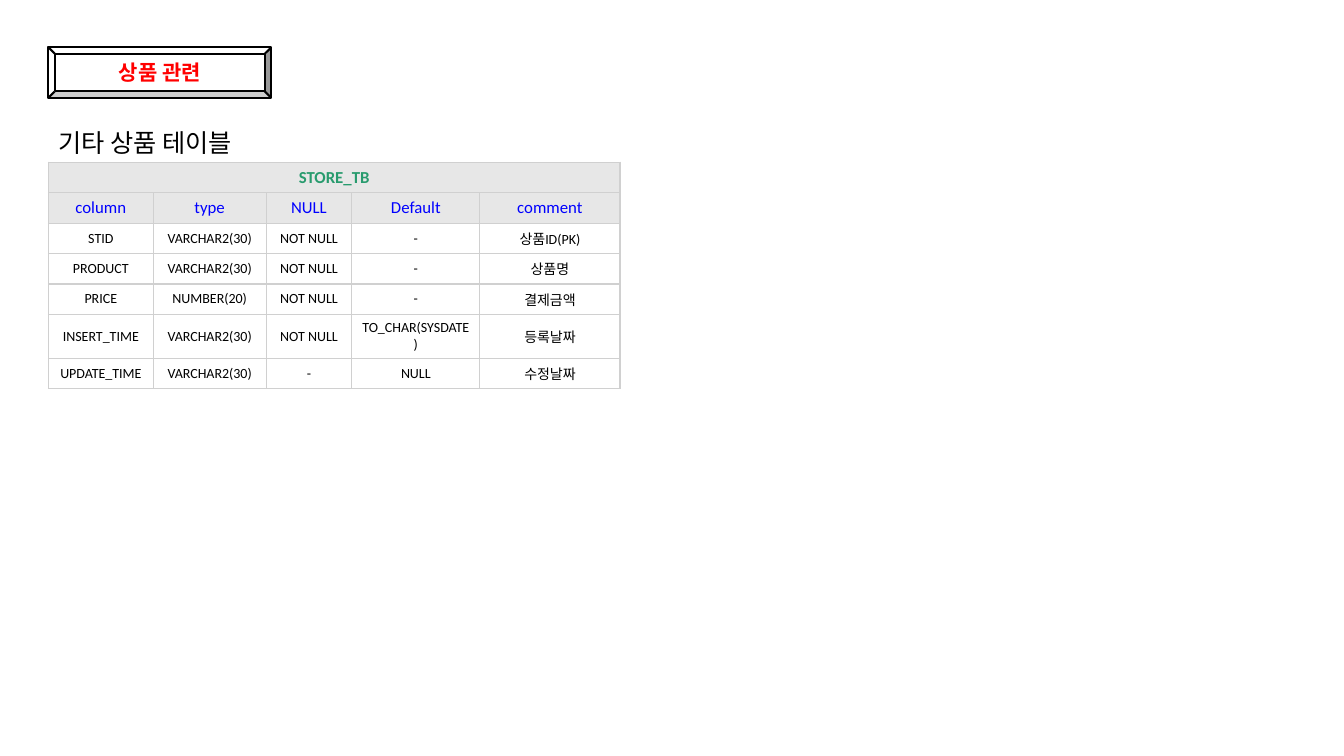
from dataclasses import dataclass
from lxml.etree import SubElement as Sub
from pptx import Presentation
from pptx.dml.color import RGBColor as RGB
from pptx.enum.shapes import MSO_SHAPE as Shape
from pptx.enum.text import MSO_ANCHOR as Anchor, PP_ALIGN as Align
from pptx.oxml.ns import qn
from pptx.util import Inches, Pt


@dataclass(frozen=True)
class Theme:
    face: str = "Calibri"
    black: str = "000000"
    white: str = "FFFFFF"
    red: str = "FF0000"
    green: str = "289B6E"
    blue: str = "0000FF"
    gray: str = "E7E7E7"
    rule: str = "D0D0D0"
    title: int = 18
    badge: int = 15
    head: int = 12
    body: int = 10


THEME = Theme()
LEFT = 0.48
WIDTHS = [1.04, 1.12, 0.85, 1.27, 1.39]
ROW = 0.3
NAME = "STORE_TB"
HEADS = ["column", "type", "NULL", "Default", "comment"]
FIELDS = [
    ["STID", "VARCHAR2(30)", "NOT NULL", "-", "상품ID(PK)"],
    ["PRODUCT", "VARCHAR2(30)", "NOT NULL", "-", "상품명"],
    ["PRICE", "NUMBER(20)", "NOT NULL", "-", "결제금액"],
    ["INSERT_TIME", "VARCHAR2(30)", "NOT NULL", "TO_CHAR(SYSDATE)", "등록날짜"],
    ["UPDATE_TIME", "VARCHAR2(30)", "-", "NULL", "수정날짜"],
]


def write(frame, text, size, color, bold=False, align=Align.CENTER):
    para = frame.paragraphs[0]
    para.alignment = align
    run = para.add_run()
    run.text = text
    style = {"name": THEME.face, "size": Pt(size), "bold": bold}
    for key, value in style.items():
        setattr(run.font, key, value)
    run.font.color.rgb = RGB.from_string(color)


def paint(fill, color):
    fill.solid()
    fill.fore_color.rgb = RGB.from_string(color)


def edge(cell):
    # Borders come before the fill in the cell properties
    props = cell._tc.get_or_add_tcPr()
    for side in ("lnL", "lnR", "lnT", "lnB"):
        line = Sub(props, qn(f"a:{side}"), w=str(Pt(1)))
        Sub(Sub(line, qn("a:solidFill")), qn("a:srgbClr"), val=THEME.rule)


def add_badge(slide, text):
    box = slide.shapes.add_shape(
        Shape.BEVEL, Inches(LEFT), Inches(0.47), Inches(2.21), Inches(0.5))
    box.shadow.inherit = False
    paint(box.fill, THEME.white)
    paint(box.line.fill, THEME.black)
    box.line.width = Pt(1.5)
    box.text_frame.vertical_anchor = Anchor.MIDDLE
    write(box.text_frame, text, THEME.badge, THEME.red, True)


def add_title(slide, text):
    box = slide.shapes.add_textbox(
        Inches(LEFT), Inches(1.21), Inches(2.98), Inches(0.4))
    box.text_frame.word_wrap = True
    write(box.text_frame, text, THEME.title, THEME.black, align=Align.LEFT)


def add_grid(slide):
    rows = [[NAME] + [""] * (len(HEADS) - 1), HEADS, *FIELDS]
    grid = slide.shapes.add_table(
        len(rows), len(HEADS), Inches(LEFT), Inches(1.61),
        Inches(sum(WIDTHS)), Inches(ROW * len(rows))).table
    for col, width in zip(grid.columns, WIDTHS):
        col.width = Inches(width)
    # Name row, heading row, then one row per field
    looks = [(THEME.head, THEME.green, True), (THEME.head, THEME.blue)]
    looks += [(THEME.body, THEME.black)] * len(FIELDS)
    for r, (row, look) in enumerate(zip(rows, looks)):
        grid.rows[r].height = Inches(ROW)
        for c, text in enumerate(row):
            cell = grid.cell(r, c)
            edge(cell)
            paint(cell.fill, THEME.gray if r < 2 else THEME.white)
            cell.vertical_anchor = Anchor.MIDDLE
            if text:
                write(cell.text_frame, text, *look)
    grid.cell(0, 0).merge(grid.cell(0, len(HEADS) - 1))


def main():
    deck = Presentation()
    size = {"slide_width": Inches(13.33), "slide_height": Inches(7.5)}
    for key, value in size.items():
        setattr(deck, key, value)
    slide = deck.slides.add_slide(deck.slide_layouts[6])
    add_grid(slide)
    add_badge(slide, "상품 관련")
    add_title(slide, "기타 상품 테이블")
    deck.save("out.pptx")


if __name__ == "__main__":
    main()
